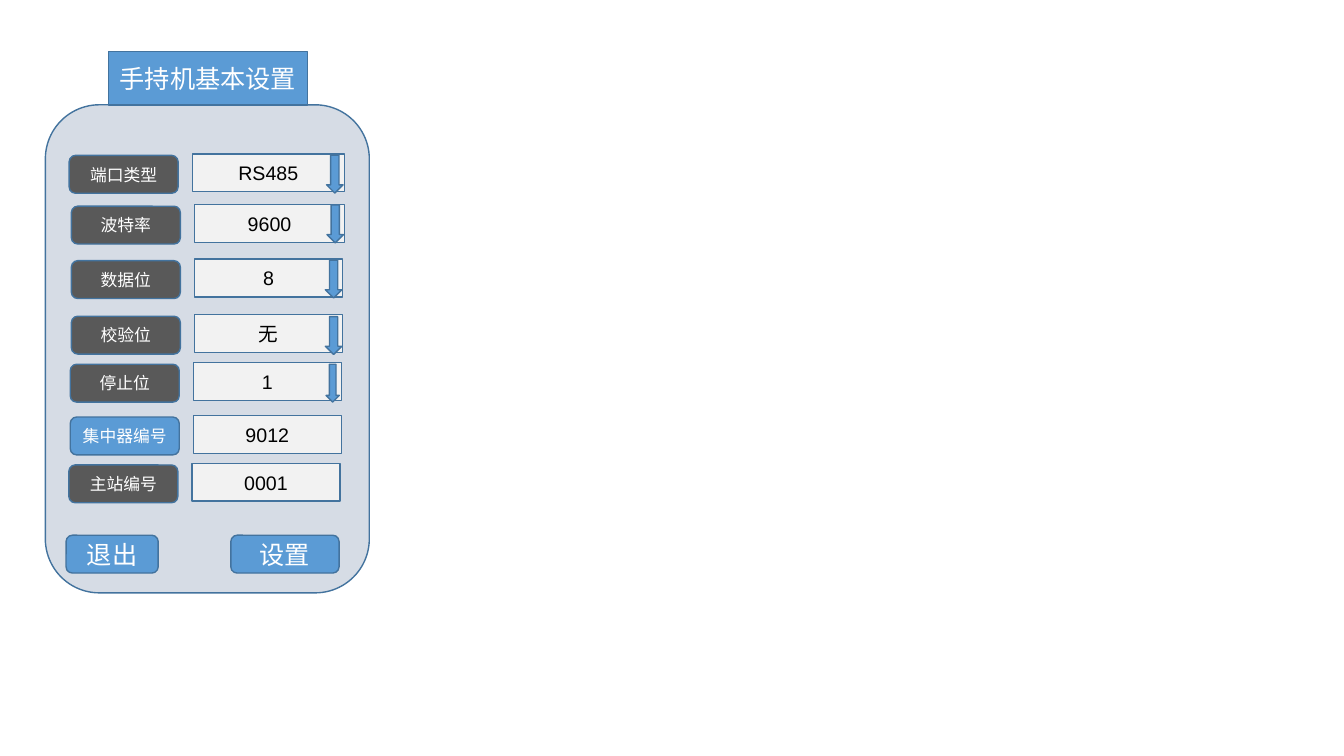
from pptx import Presentation
from pptx.dml.color import RGBColor
from pptx.enum.shapes import MSO_SHAPE as Shape
from pptx.enum.text import MSO_ANCHOR as Anchor, PP_ALIGN as Align
from pptx.oxml.ns import qn
from pptx.util import Pt
from lxml.etree import SubElement

WHITE = RGBColor(0xFF, 0xFF, 0xFF)
BLACK = RGBColor(0x00, 0x00, 0x00)
BLUE = RGBColor(0x5B, 0x9B, 0xD5)
EDGE = RGBColor(0x43, 0x73, 0x9E)
PANEL = RGBColor(0xD6, 0xDC, 0xE5)
DARK = RGBColor(0x59, 0x59, 0x59)
PALE = RGBColor(0xF2, 0xF2, 0xF2)

LATIN = "Arial"
CHINESE = "Noto Sans CJK SC"

CONTROL_HEIGHT = 27
LABEL_WIDTH = 77.8
FIELD_SHIFT = 87.9
FIELD_RISE = 1.1

# label, value, label colour, label left, label top, field width
SETTINGS = [
    ("端口类型", "RS485", DARK, 49.4, 111, 108.7),
    ("波特率", "9600", DARK, 51, 147.3, 107.3),
    ("数据位", "8", DARK, 51, 186.2, 105.8),
    ("校验位", "无", DARK, 51, 225.9, 105.8),
    ("停止位", "1", DARK, 50.2, 260.2, 105.8),
    ("集中器编号", "9012", BLUE, 50.2, 297.9, 105.8),
    ("主站编号", "0001", DARK, 49.2, 332.1, 105.8),
]

# left, top, width
ARROWS = [
    (233.3, 110.9, 11.8),
    (233.6, 146.4, 11.8),
    (232.4, 185.8, 11.8),
    (232.4, 226.2, 11.8),
    (232.9, 260.2, 9.5),
]


def add_block(page, kind, left, top, width, height, fill):
    block = page.shapes.add_shape(kind, Pt(left), Pt(top), Pt(width), Pt(height))
    block.shadow.inherit = False
    block.fill.solid()
    block.fill.fore_color.rgb = fill
    block.line.color.rgb = EDGE
    block.line.width = Pt(1)
    return block


def write(block, text, size=12, font=CHINESE, color=WHITE):
    frame = block.text_frame
    frame.word_wrap = True
    frame.vertical_anchor = Anchor.MIDDLE
    para = frame.paragraphs[0]
    para.alignment = Align.CENTER
    span = para.add_run()
    span.text = text
    span.font.size = Pt(size)
    span.font.name = font
    span.font.color.rgb = color
    SubElement(span.font._element, qn("a:ea")).set("typeface", CHINESE)


def add_button(page, text, left, top, width, fill=BLUE, size=18):
    button = add_block(page, Shape.ROUNDED_RECTANGLE, left, top, width,
                       CONTROL_HEIGHT, fill)
    write(button, text, size=size)


def add_setting(page, label, value, fill, left, top, field_width):
    add_button(page, label, left, top, LABEL_WIDTH, fill=fill, size=12)
    field = add_block(page, Shape.RECTANGLE, left + FIELD_SHIFT,
                      top - FIELD_RISE, field_width, CONTROL_HEIGHT, PALE)
    write(field, value, size=14, font=LATIN, color=BLACK)


def main():
    deck = Presentation()
    deck.slide_width = Pt(960)
    deck.slide_height = Pt(540)
    page = deck.slides.add_slide(deck.slide_layouts[6])

    add_block(page, Shape.ROUNDED_RECTANGLE, 32.4, 74.9, 231.4, 348.6, PANEL)
    title = add_block(page, Shape.RECTANGLE, 77.5, 36.7, 142, 38.2, BLUE)
    write(title, "手持机基本设置", size=18)

    for setting in SETTINGS:
        add_setting(page, *setting)
    for left, top, width in ARROWS:
        add_block(page, Shape.DOWN_ARROW, left, top, width, CONTROL_HEIGHT, BLUE)

    add_button(page, "退出", 47.2, 382.3, 65.8)
    add_button(page, "设置", 164.9, 382.3, 77.3)

    deck.save("out.pptx")


main()
